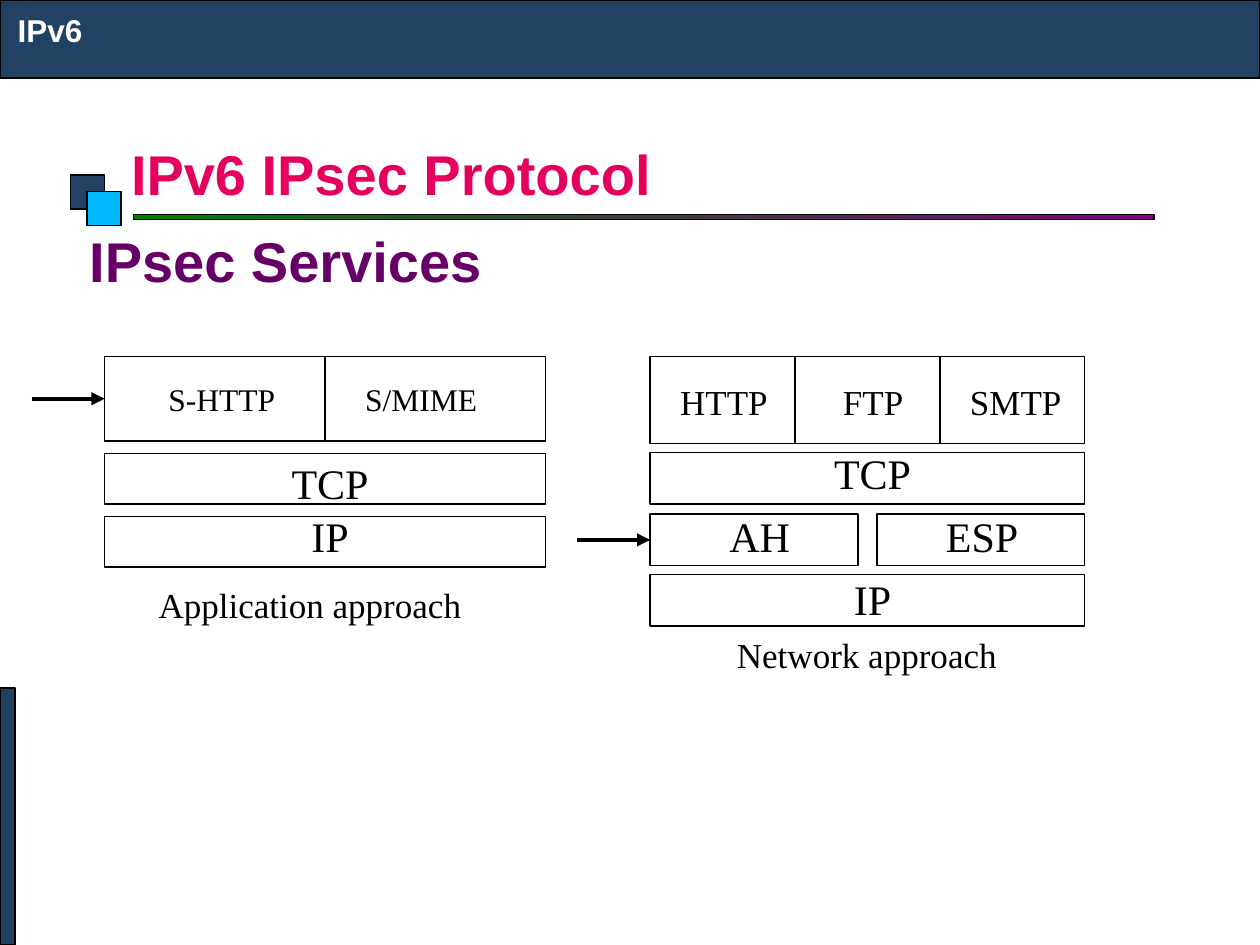
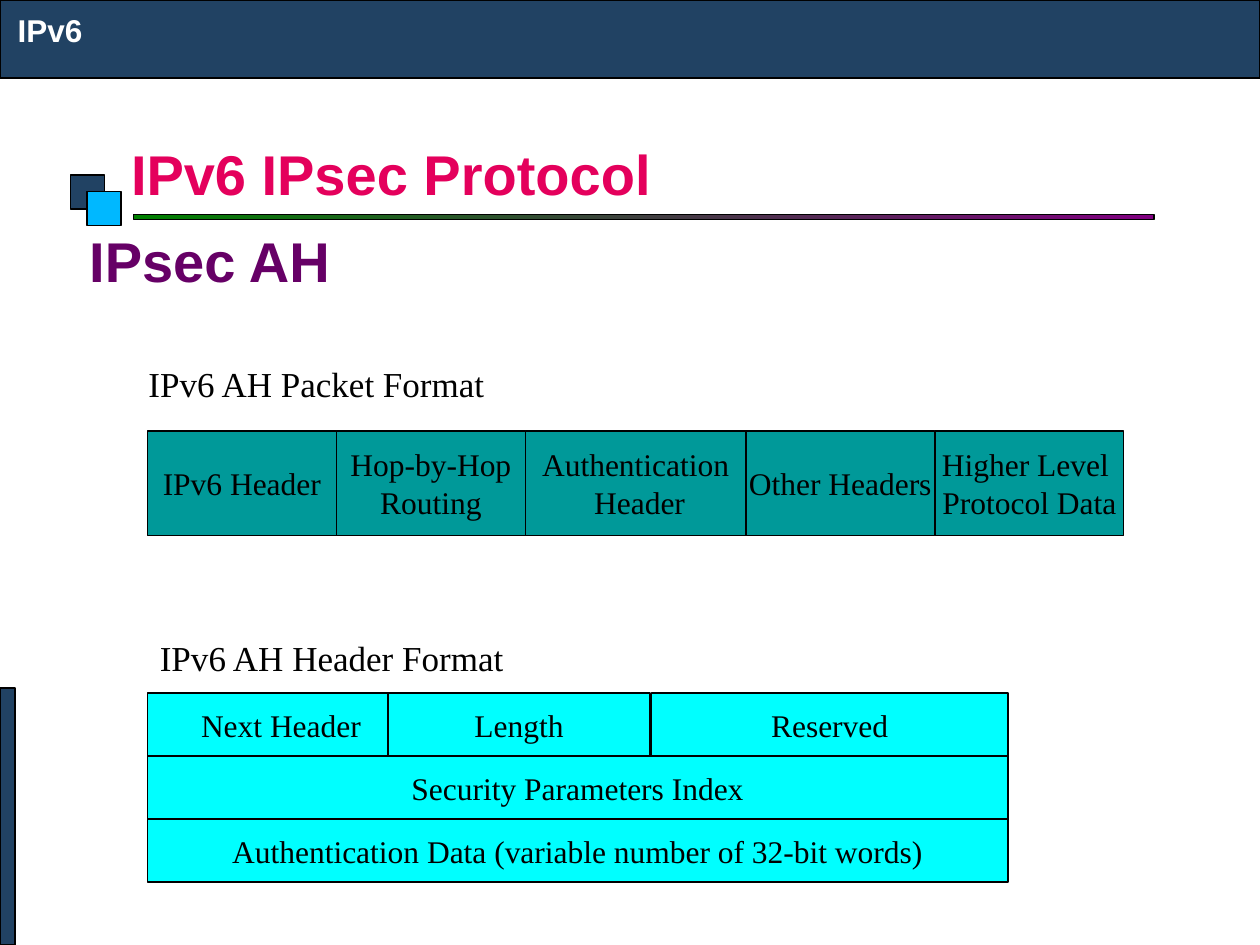
import lxml.etree
import pptx
import pptx.dml.color
import pptx.enum.shapes
import pptx.enum.text
import pptx.oxml.ns
import pptx.util

Inches = pptx.util.Inches
Pt = pptx.util.Pt
Align = pptx.enum.text.PP_ALIGN
Anchor = pptx.enum.text.MSO_ANCHOR
Kind = pptx.enum.shapes.MSO_SHAPE

COLORS = {
    "navy": "214263", "sky": "00B8FF", "white": "FFFFFF", "black": "000000",
    "pink": "E4005C", "plum": "660066", "green": "008000", "purple": "800080",
    "teal": "009999", "cyan": "00FFFF",
}
SANS, SERIF = "Arial", "Times New Roman"
BRAND = "IPv6"
TITLE = "IPv6 IPsec Protocol"
BLOCKS = [
    (0, 0, 10, 0.62, "navy"),
    (0.56, 1.39, 0.27, 0.27, "navy"),
    (0.69, 1.52, 0.27, 0.27, "sky"),
    (0, 5.46, 0.12, 2.04, "navy"),
]
RULE = (1.06, 1.7, 8.1, 0.04)

LEFT, MID = Align.LEFT, Align.CENTER
STACKS = [
    {"left": 0.83, "arrow": "S-HTTP", "tail": 0.25,
     "note": ("Application approach", 0.67, 4.58, MID),
     "rows": [
         {"top": 2.83, "cell": (1.75, 0.67), "gap": 0, "size": 18, "drop": 0.14,
          "wide": 1.42, "names": [("S-HTTP", 0.22, MID), ("S/MIME", 0.22, LEFT)]},
         {"top": 3.6, "cell": (3.5, 0.4), "gap": 0, "size": 24, "drop": -0.02,
          "wide": 2.84, "names": [("TCP", 0.37, MID)]},
         {"top": 4.1, "cell": (3.5, 0.4), "gap": 0, "size": 24, "drop": -0.1,
          "wide": 2.84, "names": [("IP", 0.37, MID)]},
     ]},
    {"left": 5.16, "arrow": "AH", "tail": 4.58,
     "note": ("Network approach", 5.75, 4.98, LEFT),
     "rows": [
         {"top": 2.83, "cell": (1.15, 0.69), "gap": 0, "size": 20, "drop": 0.14,
          "wide": 0.94, "names": [("HTTP", 0.14, LEFT), ("FTP", 0.15, MID),
                                  ("SMTP", 0.14, LEFT)]},
         {"top": 3.59, "cell": (3.45, 0.41), "gap": 0, "size": 24, "drop": -0.09,
          "wide": 2.81, "names": [("TCP", 0.36, MID)]},
         {"top": 4.08, "cell": (1.65, 0.41), "gap": 0.15, "size": 24, "drop": -0.08,
          "wide": 1.34, "names": [("AH", 0.53, LEFT), ("ESP", 0.45, LEFT)]},
         {"top": 4.56, "cell": (3.45, 0.41), "gap": 0, "size": 24, "drop": -0.06,
          "wide": 2.81, "names": [("IP", 0.36, MID)]},
     ]},
]

EDGE = 1.17
PACKET = [
    ("IPv6 Header", 1.5),
    ("Hop-by-Hop\nRouting", 1.5),
    ("Authentication\n Header", 1.75),
    ("Other Headers", 1.5),
    ("Higher Level \nProtocol Data", 1.5),
]
HEADER = [
    [("Next Header", 0, 2.12), ("Length", 1.91, 2.08), ("Reserved", 4, 2.83)],
    [("Security Parameters Index", 0, 6.83)],
    [("Authentication Data (variable number of 32-bit words)", 0, 6.83)],
]
NOTES = [("IPv6 AH Packet Format", 1.08, 2.83), ("IPv6 AH Header Format", 1.17, 5)]


def shade(name):
    return pptx.dml.color.RGBColor.from_string(COLORS[name])


def write(frame, text, size=18, font=SERIF, color="black", bold=False,
          align=LEFT, anchor=Anchor.TOP, pad=(0.1, 0.05), wrap=True, space=None):
    frame.word_wrap = wrap
    frame.vertical_anchor = anchor
    frame.margin_left = frame.margin_right = Inches(pad[0])
    frame.margin_top = frame.margin_bottom = Inches(pad[1])
    frame.text = text
    for para in frame.paragraphs:
        para.alignment = align
        if space:
            para.line_spacing = space
        para.font.size = Pt(size)
        para.font.name = font
        para.font.bold = bold
        para.font.color.rgb = shade(color)


def label(slide, text, left, top, wide, high, **style):
    box = slide.shapes.add_textbox(*map(Inches, (left, top, wide, high)))
    write(box.text_frame, text, **style)


def block(slide, left, top, wide, high, color=None):
    shape = slide.shapes.add_shape(
        Kind.RECTANGLE, *map(Inches, (left, top, wide, high)))
    shape.shadow.inherit = False
    shape.line.color.rgb = shade("black")
    shape.line.width = Pt(0.75)
    if color:
        shape.fill.solid()
        shape.fill.fore_color.rgb = shade(color)
    else:
        shape.fill.background()
    return shape


def field(slide, text, *place):
    write(block(slide, *place).text_frame, text,
          align=MID, anchor=Anchor.MIDDLE, wrap=False)


def arrow(slide, start, box):
    level = box.top + box.height // 2
    line = slide.shapes.add_connector(
        pptx.enum.shapes.MSO_CONNECTOR.STRAIGHT, Inches(start), level, box.left, level)
    line.end_connect(box, 1)
    line.line.color.rgb = shade("black")
    line.line.width = Pt(2.5)
    name = pptx.oxml.ns.qn
    lxml.etree.SubElement(line.get_or_add_ln(), name("a:tailEnd"), type="triangle")
    lxml.etree.SubElement(line._element.spPr, name("a:effectLst"))


def start(deck, topic):
    slide = deck.slides.add_slide(deck.slide_layouts[6])
    label(slide, TITLE, 1.04, 0.74, 8.96, 1.26, size=32, font=SANS, color="pink",
          bold=True, anchor=Anchor.MIDDLE, pad=(0, 0))
    for place in BLOCKS:
        block(slide, *place)
    fill = block(slide, *RULE).fill
    fill.gradient()
    fill.gradient_angle = 0
    for stop, color in zip(fill.gradient_stops, ("green", "purple")):
        stop.color.rgb = shade(color)
    label(slide, BRAND, 0.14, 0.11, 6.36, 0.29, font=SANS, color="white",
          bold=True, pad=(0, 0), space=0.95)
    label(slide, topic, 0.61, 1.75, 8.48, 0.65, size=32, font=SANS,
          color="plum", bold=True)
    return slide


def stack(slide, plan):
    for row in plan["rows"]:
        wide, high = row["cell"]
        for spot, (text, shift, align) in enumerate(row["names"]):
            left = plan["left"] + spot * (wide + row["gap"])
            box = block(slide, left, row["top"], wide, high)
            label(slide, text, left + shift, row["top"] + row["drop"], row["wide"],
                  0.1 + row["size"] / 60, size=row["size"], align=align)
            if text == plan["arrow"]:
                arrow(slide, plan["tail"], box)
    text, left, top, align = plan["note"]
    label(slide, text, left, top, 3.58, 0.44, size=20, align=align)


def main():
    deck = pptx.Presentation()
    deck.slide_width, deck.slide_height = Inches(10), Inches(7.5)

    slide = start(deck, "IPsec Services")
    for plan in STACKS:
        stack(slide, plan)

    slide = start(deck, "IPsec AH")
    for text, left, top in NOTES:
        label(slide, text, left, top, 3.58, 0.44, size=20)
    left = EDGE
    for text, wide in PACKET:
        field(slide, text, left, 3.42, wide, 0.83, "teal")
        left += wide
    for level, row in enumerate(HEADER):
        for text, shift, wide in row:
            field(slide, text, EDGE + shift, 5.5 + level * 0.5, wide, 0.5, "cyan")

    deck.save("out.pptx")


if __name__ == "__main__":
    main()
